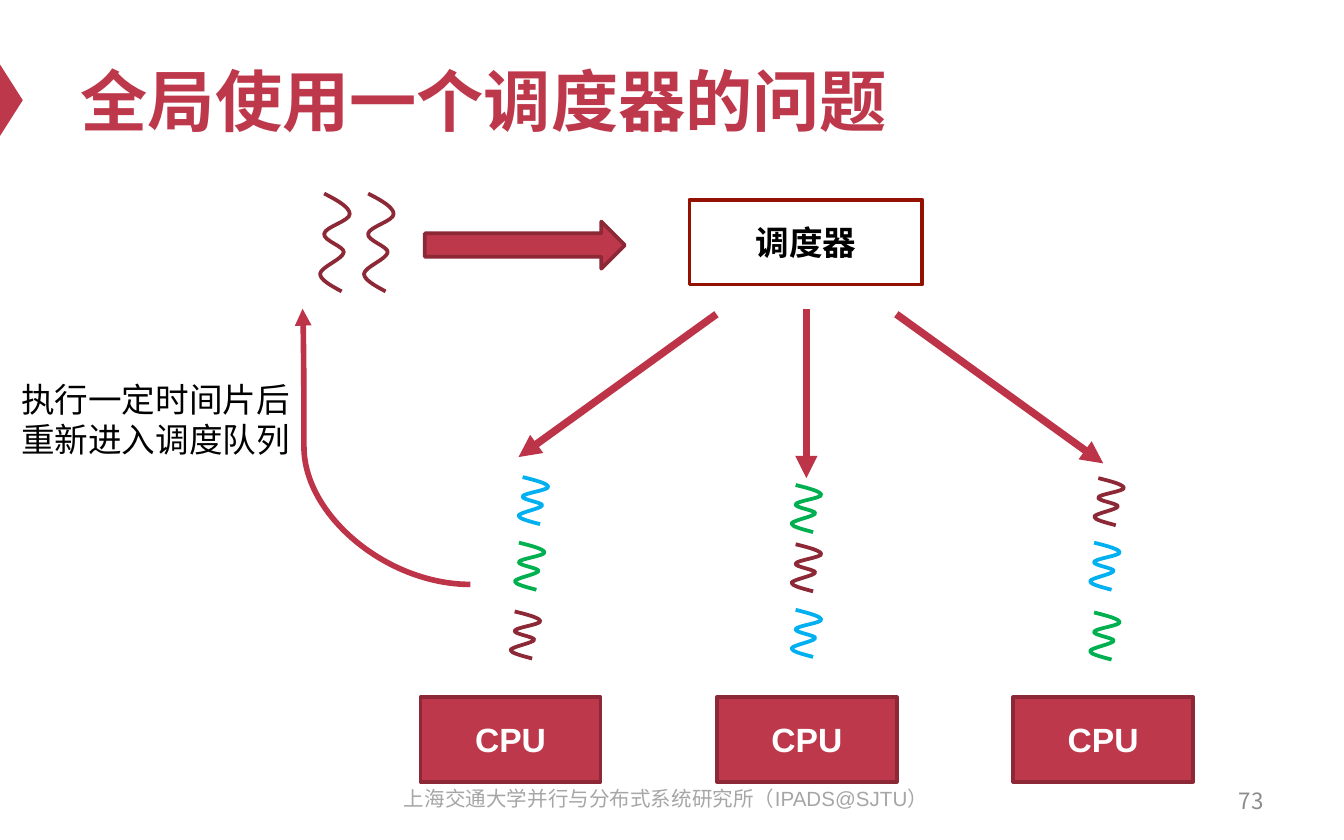
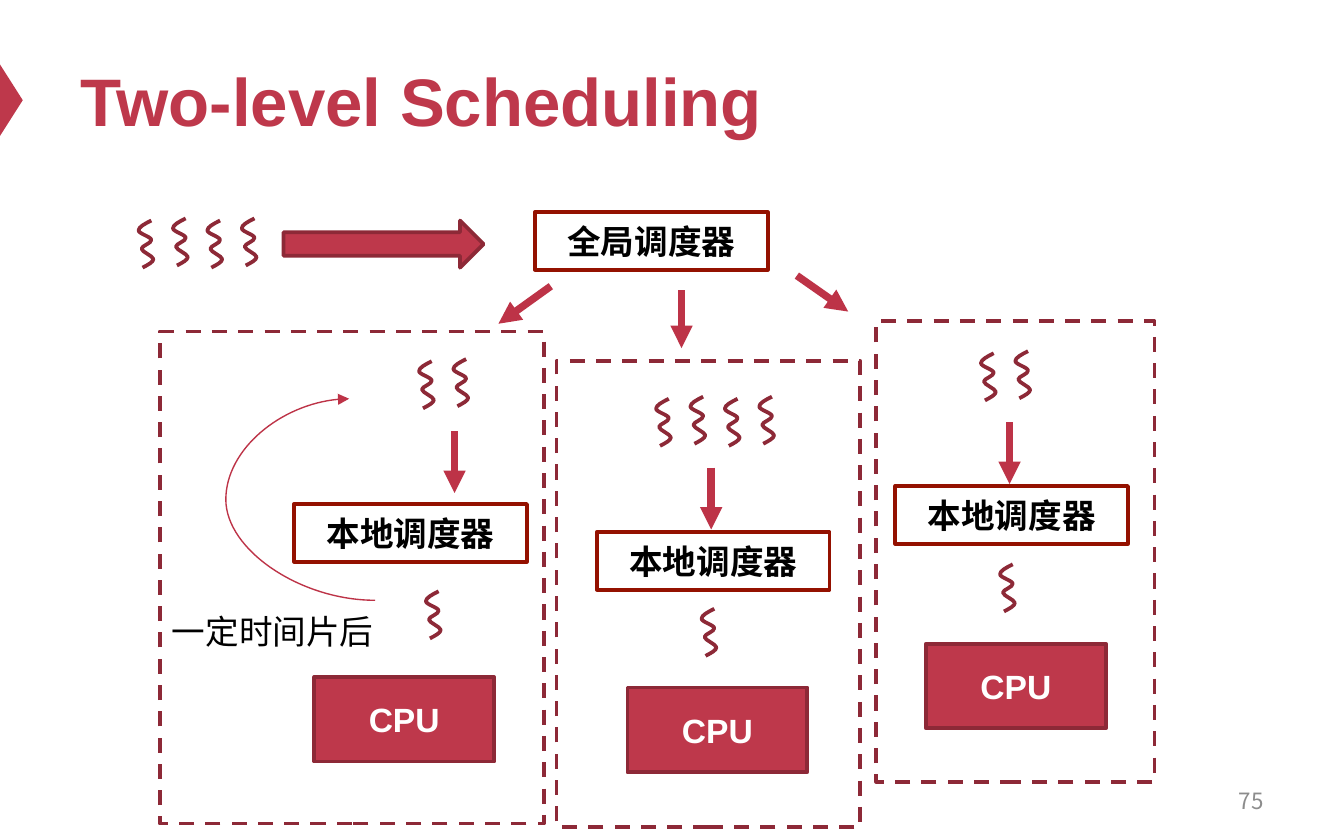
from lxml import etree
from pptx import Presentation
from pptx.dml.color import RGBColor
from pptx.enum.dml import MSO_LINE
from pptx.enum.shapes import MSO_CONNECTOR, MSO_SHAPE
from pptx.enum.text import MSO_ANCHOR, MSO_AUTO_SIZE, PP_ALIGN
from pptx.oxml.ns import qn
from pptx.util import Cm, Pt

RECTANGLE = MSO_SHAPE.RECTANGLE
RIGHT_ARROW = MSO_SHAPE.RIGHT_ARROW
TRIANGLE = MSO_SHAPE.ISOSCELES_TRIANGLE
STRAIGHT = MSO_CONNECTOR.STRAIGHT
CURVE = MSO_CONNECTOR.CURVE
DASH = MSO_LINE.DASH
MIDDLE = MSO_ANCHOR.MIDDLE
TOP = MSO_ANCHOR.TOP
NO_AUTOFIT = MSO_AUTO_SIZE.NONE
LEFT, CENTER, RIGHT = PP_ALIGN.LEFT, PP_ALIGN.CENTER, PP_ALIGN.RIGHT

RED, ARROW_RED, MAROON, BRICK = "BE384B", "BD3347", "8D2937", "941100"
BLUE, GREEN, BLACK, WHITE = "00B0F0", "00B050", "000000", "FFFFFF"
GREY, LIGHT_GREY = "8C8C8C", "A6A6A6"
LATIN, CJK = "Arial", "Noto Sans CJK SC"

WAVE = [(0.14, 0), (0.59, 0.07), (1, 0.14), (1, 0.21), (1, 0.28), (0.18, 0.34),
        (0.14, 0.41), (0.09, 0.48), (0.82, 0.54), (0.8, 0.6), (0.77, 0.67),
        (0.03, 0.75), (0, 0.82), (0, 0.88), (0.36, 0.94), (0.73, 1)]
CPU_SIZE = (3.4, 1.6)
SCHEDULER_WIDTH = 4.4
THREAD_SIZE = (0.56, 0.89)
SLIM_THREAD_SIZE = (0.28, 0.89)


def color(value):
    """Turn a hex string into a colour."""
    return RGBColor.from_string(value)


class Deck:
    """Hold the shared style and the current slide."""

    def __init__(self):
        """Start an empty presentation."""
        self.presentation = Presentation()
        self.presentation.slide_width = Cm(25.4)
        self.presentation.slide_height = Cm(15.88)
        self.slide = None

    def start_slide(self, title, number):
        """Add a slide with its title, side marker and page number."""
        self.slide = self.presentation.slides.add_slide(self.presentation.slide_layouts[5])
        marker = self.shape(TRIANGLE, (-0.46, 1.68, 1.35, 0.43), RED)
        marker.rotation = 90
        placeholder = self.slide.shapes.title
        bounds = {"left": 1.27, "top": 0.64, "width": 22.86, "height": 2.49}
        for name, value in bounds.items():
            setattr(placeholder, name, Cm(value))
        self.fill_text(placeholder, [title], 36, RED, bold=True)
        self.text((18.21, 14.71, 5.92, 0.84), [number], 12, GREY, RIGHT, MIDDLE, CJK)

    def fill_text(self, shape, lines, size, ink, alignment=LEFT, anchor=MIDDLE,
                  bold=False, face=LATIN):
        """Put formatted paragraphs into a shape."""
        frame = shape.text_frame
        frame_format = {"word_wrap": True, "auto_size": NO_AUTOFIT, "vertical_anchor": anchor}
        for name, value in frame_format.items():
            setattr(frame, name, value)
        frame.text = "\n".join(lines)
        for paragraph in frame.paragraphs:
            paragraph.alignment = alignment
            font = paragraph.runs[0].font
            for name, value in {"name": face, "size": Pt(size), "bold": bold}.items():
                setattr(font, name, value)
            font.color.rgb = color(ink)
            properties = paragraph.runs[0]._r.get_or_add_rPr()
            etree.SubElement(properties, qn("a:ea")).set("typeface", CJK)

    def text(self, bounds, lines, size, ink, alignment=LEFT, anchor=TOP, face=LATIN):
        """Add a text box."""
        box = self.slide.shapes.add_textbox(*map(Cm, bounds))
        self.fill_text(box, lines, size, ink, alignment, anchor, face=face)

    def outline(self, shape, ink, width=2):
        """Colour the line of a shape or connector."""
        shape.line.color.rgb = color(ink)
        shape.line.width = Pt(width)

    def shape(self, kind, bounds, fill=None, line=None):
        """Add a preset shape without shadow."""
        shape = self.slide.shapes.add_shape(kind, *map(Cm, bounds))
        shape.shadow.inherit = False
        if fill:
            shape.fill.solid()
            shape.fill.fore_color.rgb = color(fill)
        else:
            shape.fill.background()
        if line:
            self.outline(shape, line)
        else:
            shape.line.fill.background()
        return shape

    def cpu(self, left, top):
        """Add a CPU block."""
        block = self.shape(RECTANGLE, (left, top, *CPU_SIZE), RED, MAROON)
        self.fill_text(block, ["CPU"], 18, WHITE, CENTER, bold=True)

    def scheduler(self, label, left, top, height=1.09):
        """Add a scheduler box."""
        box = self.shape(RECTANGLE, (left, top, SCHEDULER_WIDTH, height), WHITE, BRICK)
        self.fill_text(box, [label], 18, BLACK, CENTER, bold=True)

    def block_arrow(self, left, top):
        """Add the wide arrow that leads to the scheduler."""
        self.shape(RIGHT_ARROW, (left, top, 3.78, 0.89), RED, MAROON)

    def core_frame(self, bounds):
        """Add a dashed frame around one core."""
        self.shape(RECTANGLE, bounds, line=MAROON).line.dash_style = DASH

    def arrow(self, start, end, width=4, bend=None):
        """Add a straight arrow, or a curved one when a bend is given."""
        kind = CURVE if bend else STRAIGHT
        connector = self.slide.shapes.add_connector(kind, *map(Cm, (*start, *end)))
        self.outline(connector, ARROW_RED, width)
        properties = connector._element.spPr
        etree.SubElement(properties.find(qn("a:ln")), qn("a:tailEnd")).set("type", "triangle")
        etree.SubElement(properties, qn("a:effectLst"))
        if bend:
            geometry = properties.find(qn("a:prstGeom"))
            guide = etree.SubElement(geometry.find(qn("a:avLst")), qn("a:gd"))
            guide.set("name", "adj1")
            guide.set("fmla", f"val {round(bend * 100000)}")

    def thread(self, left, top, size=THREAD_SIZE, ink=MAROON, mirrored=False):
        """Draw a wavy thread with smooth curves."""
        width, height = size
        points = [(Cm(left + width * (1 - x if mirrored else x)), Cm(top + height * y))
                  for x, y in WAVE]
        builder = self.slide.shapes.build_freeform(*points[0])
        builder.add_line_segments(points[1:], close=False)
        shape = builder.convert_to_shape()
        shape.shadow.inherit = False
        shape.fill.background()
        self.outline(shape, ink)
        track = shape._element.find(".//" + qn("a:path"))
        segments = track.findall(qn("a:lnTo"))
        for index in range(0, len(segments), 3):
            curve = etree.SubElement(track, qn("a:cubicBezTo"))
            for segment in segments[index:index + 3]:
                curve.append(segment[0])
                track.remove(segment)

    def queue(self, left, top, count):
        """Draw a row of slim threads at alternating heights."""
        for index in range(count):
            self.thread(left + 0.65 * index, top - 0.04 * (index % 2),
                        SLIM_THREAD_SIZE, mirrored=True)


def global_scheduler_slide(deck):
    """Build the slide on a single global scheduler."""
    deck.start_slide("全局使用一个调度器的问题", "73")
    for index in range(3):
        deck.cpu(7.95 + 5.6 * index, 13.18)
    deck.scheduler("调度器", 13.03, 3.78, 1.6)
    for start, end in [((13.54, 5.94), (9.8, 8.64)),
                       ((15.24, 5.84), (15.24, 9.04)),
                       ((16.94, 5.94), (20.85, 8.76))]:
        deck.arrow(start, end)
    deck.text((0.15, 7.04, 6.32, 1.8), ["执行一定时间片后", "重新进入调度队列"], 18, BLACK)
    for left in (6.05, 6.88):
        deck.thread(left, 3.66, (0.56, 1.85))
    deck.block_arrow(8.03, 4.19)
    deck.arrow((8.89, 11.05), (5.72, 5.84), 3, 0.992)
    cpu_queues = [
        [(9.8, 9.02, BLUE), (9.73, 10.26, GREEN), (9.65, 11.56, MAROON)],
        [(14.96, 9.17, GREEN), (14.96, 10.29, MAROON), (14.96, 11.53, BLUE)],
        [(20.68, 9.04, MAROON), (20.6, 10.26, BLUE), (20.6, 11.58, GREEN)],
    ]
    for threads in cpu_queues:
        for left, top, ink in threads:
            deck.thread(left, top, ink=ink)
    deck.text((7.09, 14.73, 11, 0.84), ["上海交通大学并行与分布式系统研究所（IPADS@SJTU）"],
              11, LIGHT_GREY, CENTER)


def two_level_slide(deck):
    """Build the slide on two-level scheduling."""
    deck.start_slide("Two-level Scheduling", "75")
    deck.queue(2.62, 4.17, 4)
    deck.block_arrow(5.36, 4.17)
    deck.scheduler("全局调度器", 10.11, 4.01)
    for start, end in [((10.41, 5.41), (9.42, 6.12)),
                       ((12.88, 5.49), (12.88, 6.58)),
                       ((15.06, 5.21), (16.03, 5.89))]:
        deck.arrow(start, end)
    cores = [
        ((3.02, 6.27, 7.26, 9.3), (7.92, 6.83, 2), (8.59, 8.15),
         (5.56, 9.53), (8.05, 11.18), (5.94, 12.8)),
        ((10.52, 6.83, 5.74, 8.81), (12.4, 7.54, 4), (13.44, 8.84),
         (11.28, 10.06), (13.26, 11.51), (11.86, 13)),
        ((16.56, 6.07, 5.26, 8.71), (18.54, 6.68, 2), (19.08, 7.98),
         (16.92, 9.19), (18.9, 10.67), (17.5, 12.17)),
    ]
    for frame, waiting, arrow_start, scheduler, running, cpu in cores:
        deck.core_frame(frame)
        deck.queue(*waiting)
        deck.arrow(arrow_start, (arrow_start[0], arrow_start[1] + 1.17))
        deck.scheduler("本地调度器", *scheduler)
        deck.queue(*running, 1)
        deck.cpu(*cpu)
    deck.arrow((7.09, 11.35), (6.6, 7.54), 0.75, 5.757)
    deck.text((3, 11.43, 4.75, 1.02), ["一定时间片后"], 18, BLACK)


def main():
    """Build both slides and save the file."""
    deck = Deck()
    global_scheduler_slide(deck)
    two_level_slide(deck)
    deck.presentation.save("out.pptx")


if __name__ == "__main__":
    main()
